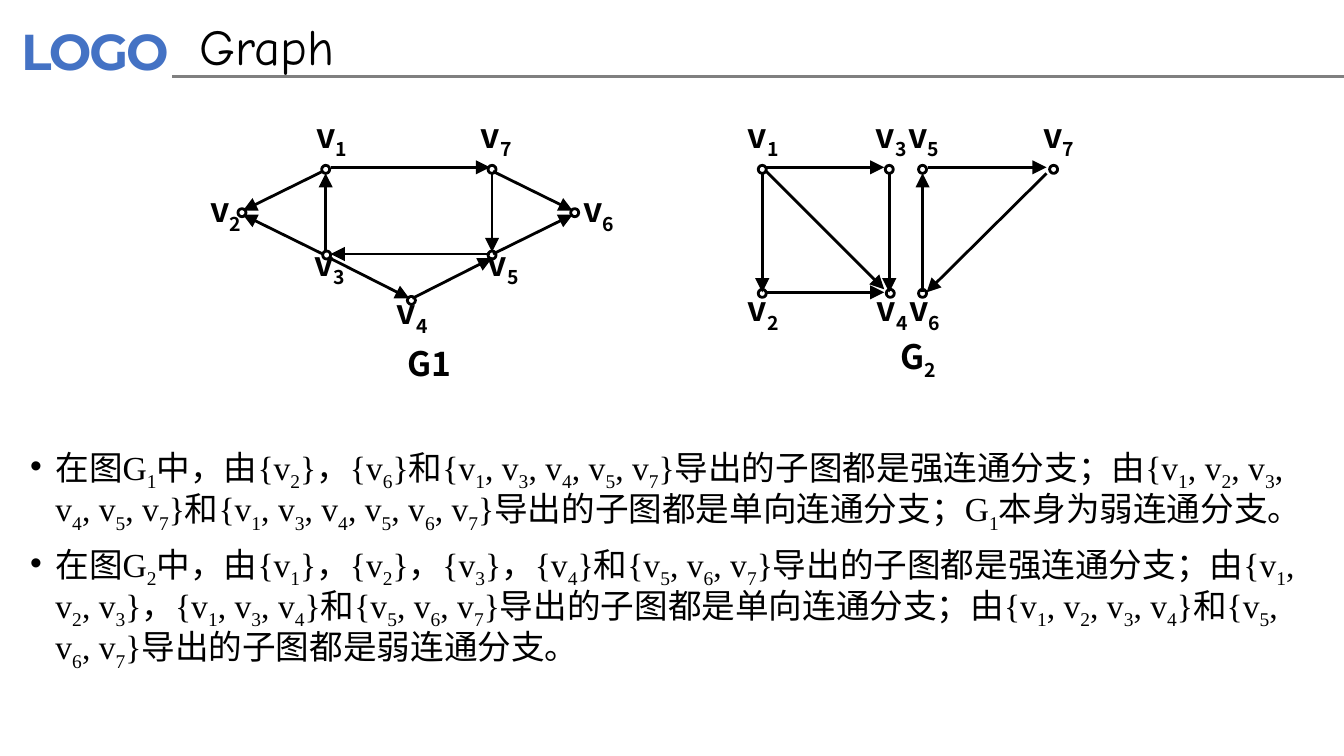
import pptx
import pptx.dml.color
import pptx.enum.shapes
import pptx.enum.text
import pptx.oxml
import pptx.oxml.ns
import pptx.util
from pptx.util import Inches

LABEL_FONT = "Noto Sans CJK SC"
BLACK = "000000"
NODE_SIZE = 0.08
LABEL_WIDTH, LABEL_HEIGHT = 0.32, 0.39

# Nodes: number, node left, node top, label left, label top
# Edges: start x, start y, end x, end y; the arrow points at the end
G1_NODES = [
    (1, 3.19, 1.64, 3.13, 1.17),
    (2, 2.36, 2.07, 2.08, 1.91),
    (3, 3.20, 2.49, 3.11, 2.44),
    (4, 4.04, 2.94, 3.93, 2.92),
    (5, 4.84, 2.49, 4.83, 2.44),
    (6, 5.66, 2.07, 5.78, 1.91),
    (7, 4.84, 1.64, 4.76, 1.17),
]
G1_EDGES = [
    (3.23, 2.50, 3.23, 1.72),
    (3.28, 1.66, 4.86, 1.66),
    (4.86, 2.52, 3.28, 2.52),
    (4.88, 1.72, 4.88, 2.50),
    (3.20, 1.70, 2.41, 2.09),
    (3.20, 2.52, 2.41, 2.13),
    (4.89, 1.70, 5.68, 2.09),
    (4.89, 2.52, 5.68, 2.13),
    (3.27, 2.56, 4.06, 2.96),
    (4.09, 2.96, 4.88, 2.56),
]
G2_NODES = [
    (1, 7.52, 1.64, 7.41, 1.17),
    (2, 7.52, 2.87, 7.41, 2.89),
    (3, 8.78, 1.64, 8.68, 1.17),
    (4, 8.79, 2.87, 8.69, 2.89),
    (5, 9.11, 1.64, 9.00, 1.17),
    (6, 9.11, 2.87, 9.01, 2.89),
    (7, 10.41, 1.64, 10.34, 1.17),
]
G2_EDGES = [
    (7.56, 1.72, 7.56, 2.90),
    (7.59, 1.66, 8.77, 1.66),
    (7.59, 2.90, 8.77, 2.90),
    (8.82, 1.72, 8.82, 2.90),
    (7.59, 1.69, 8.77, 2.87),
    (9.15, 2.90, 9.15, 1.72),
    (9.20, 1.66, 10.38, 1.66),
    (10.38, 1.72, 9.19, 2.90),
]
STATEMENTS = [
    "在图G_1中，由{v_2}，{v_6}和{v_1, v_3, v_4, v_5, v_7}导出的子图都是强连通分支；"
    "由{v_1, v_2, v_3, v_4, v_5, v_7}和{v_1, v_3, v_4, v_5, v_6, v_7}"
    "导出的子图都是单向连通分支；G_1本身为弱连通分支。",
    "在图G_2中，由{v_1}，{v_2}，{v_3}，{v_4}和{v_5, v_6, v_7}导出的子图都是强连通分支；"
    "由{v_1, v_2, v_3}，{v_1, v_3, v_4}和{v_5, v_6, v_7}导出的子图都是单向连通分支；"
    "由{v_1, v_2, v_3, v_4}和{v_5, v_6, v_7}导出的子图都是弱连通分支。",
]


def color(hex_string):
    return pptx.dml.color.RGBColor.from_string(hex_string)


def place(shape, left, top, width, height):
    shape.left, shape.top = Inches(left), Inches(top)
    shape.width, shape.height = Inches(width), Inches(height)


def add_run(paragraph, text, size, font, hex_color=BLACK, bold=False):
    run = paragraph.add_run()
    run.text = text
    run.font.size = pptx.util.Pt(size)
    run.font.name = font
    run.font.bold = bold
    run.font.color.rgb = color(hex_color)
    east_asian = pptx.oxml.parse_xml(
        f'<a:ea {pptx.oxml.ns.nsdecls("a")} typeface="{LABEL_FONT}"/>')
    run.font._element.find(pptx.oxml.ns.qn("a:latin")).addnext(east_asian)
    return run


def add_subscripted(paragraph, text, size, font, bold=False):
    """Add text in which the character after each underscore is a subscript."""
    first, *rest = text.split("_")
    add_run(paragraph, first, size, font, bold=bold)
    for part in rest:
        subscript = add_run(paragraph, part[0], size, font, bold=bold)
        subscript.font._element.set("baseline", "-25000")
        if part[1:]:
            add_run(paragraph, part[1:], size, font, bold=bold)


def add_line(shapes, start_x, start_y, end_x, end_y, hex_color=BLACK, arrow=True):
    line = shapes.add_connector(
        pptx.enum.shapes.MSO_CONNECTOR.STRAIGHT,
        Inches(start_x), Inches(start_y), Inches(end_x), Inches(end_y))
    line.line.color.rgb = color(hex_color)
    line.line.width = pptx.util.Pt(2)
    namespace = pptx.oxml.ns.nsdecls("a")
    if arrow:
        line.line._get_or_add_ln().append(pptx.oxml.parse_xml(
            f'<a:tailEnd {namespace} type="triangle" w="lg" len="lg"/>'))
    line._element.spPr.append(pptx.oxml.parse_xml(f"<a:effectLst {namespace}/>"))


def add_node(shapes, left, top):
    node = shapes.add_shape(
        pptx.enum.shapes.MSO_SHAPE.OVAL,
        Inches(left), Inches(top), Inches(NODE_SIZE), Inches(NODE_SIZE))
    node.shadow.inherit = False
    node.fill.background()
    node.line.color.rgb = color(BLACK)
    node.line.width = pptx.util.Pt(2)


def add_label(shapes, text, left, top, width=LABEL_WIDTH):
    box = shapes.add_textbox(
        Inches(left), Inches(top), Inches(width), Inches(LABEL_HEIGHT))
    frame = box.text_frame
    frame.word_wrap = False
    frame.margin_left = frame.margin_right = frame.margin_top = frame.margin_bottom = 0
    frame.vertical_anchor = pptx.enum.text.MSO_ANCHOR.MIDDLE
    paragraph = frame.paragraphs[0]
    paragraph.alignment = pptx.enum.text.PP_ALIGN.CENTER
    add_subscripted(paragraph, text, 24, LABEL_FONT, bold=True)


def add_graph(slide, nodes, edges):
    """Draw a directed graph as one group and return the group's shapes."""
    shapes = slide.shapes.add_group_shape().shapes
    for edge in edges:
        add_line(shapes, *edge)
    for number, left, top, label_left, label_top in nodes:
        add_node(shapes, left, top)
        add_label(shapes, f"v_{number}", label_left, label_top)
    return shapes


def add_header(slide):
    box = slide.shapes.add_textbox(
        Inches(0.08), Inches(0.13), Inches(1.86), Inches(0.74))
    frame = box.text_frame
    frame.word_wrap = True
    frame.margin_left = frame.margin_right = Inches(0.13)
    frame.margin_top = frame.margin_bottom = Inches(0.07)
    run = add_run(frame.paragraphs[0], "LOGO", 36, "Montserrat", "4472C4", bold=True)
    run.font._element.set("spc", "-150")
    add_line(slide.shapes, 1.71, 0.76, 13.33, 0.76, "808080", arrow=False)


def fill_title(title):
    place(title, 1.88, 0.1, 8.62, 0.71)
    title.text_frame.vertical_anchor = pptx.enum.text.MSO_ANCHOR.MIDDLE
    title.text_frame.auto_size = pptx.enum.text.MSO_AUTO_SIZE.NONE
    paragraph = title.text_frame.paragraphs[0]
    paragraph.alignment = pptx.enum.text.PP_ALIGN.LEFT
    add_run(paragraph, "Graph", 36, "Comic Neue")


def fill_statements(body):
    place(body, 0.2, 4.39, 12.93, 5.24)
    frame = body.text_frame
    frame.auto_size = pptx.enum.text.MSO_AUTO_SIZE.NONE
    for index, statement in enumerate(STATEMENTS):
        paragraph = frame.add_paragraph() if index else frame.paragraphs[0]
        paragraph.space_before = pptx.util.Pt(10 if index else 0)
        paragraph.line_spacing = 0.9
        properties = paragraph._p.get_or_add_pPr()
        properties.set("marL", str(Inches(0.25)))
        properties.set("indent", str(-Inches(0.25)))
        namespace = pptx.oxml.ns.nsdecls("a")
        properties.append(pptx.oxml.parse_xml(f'<a:buFont {namespace} typeface="Arial"/>'))
        properties.append(pptx.oxml.parse_xml(f'<a:buChar {namespace} char="•"/>'))
        add_subscripted(paragraph, statement, 24, "Times New Roman")


def main():
    presentation = pptx.Presentation()
    presentation.slide_width = Inches(13.33)
    presentation.slide_height = Inches(7.5)
    slide = presentation.slides.add_slide(presentation.slide_layouts[1])
    add_header(slide)
    fill_title(slide.shapes.title)
    add_label(add_graph(slide, G1_NODES, G1_EDGES), "G1", 3.69, 3.41, 1.14)
    add_label(add_graph(slide, G2_NODES, G2_EDGES), "G_2", 8.9, 3.36, 0.41)
    fill_statements(slide.placeholders[1])
    presentation.save("out.pptx")


if __name__ == "__main__":
    main()
